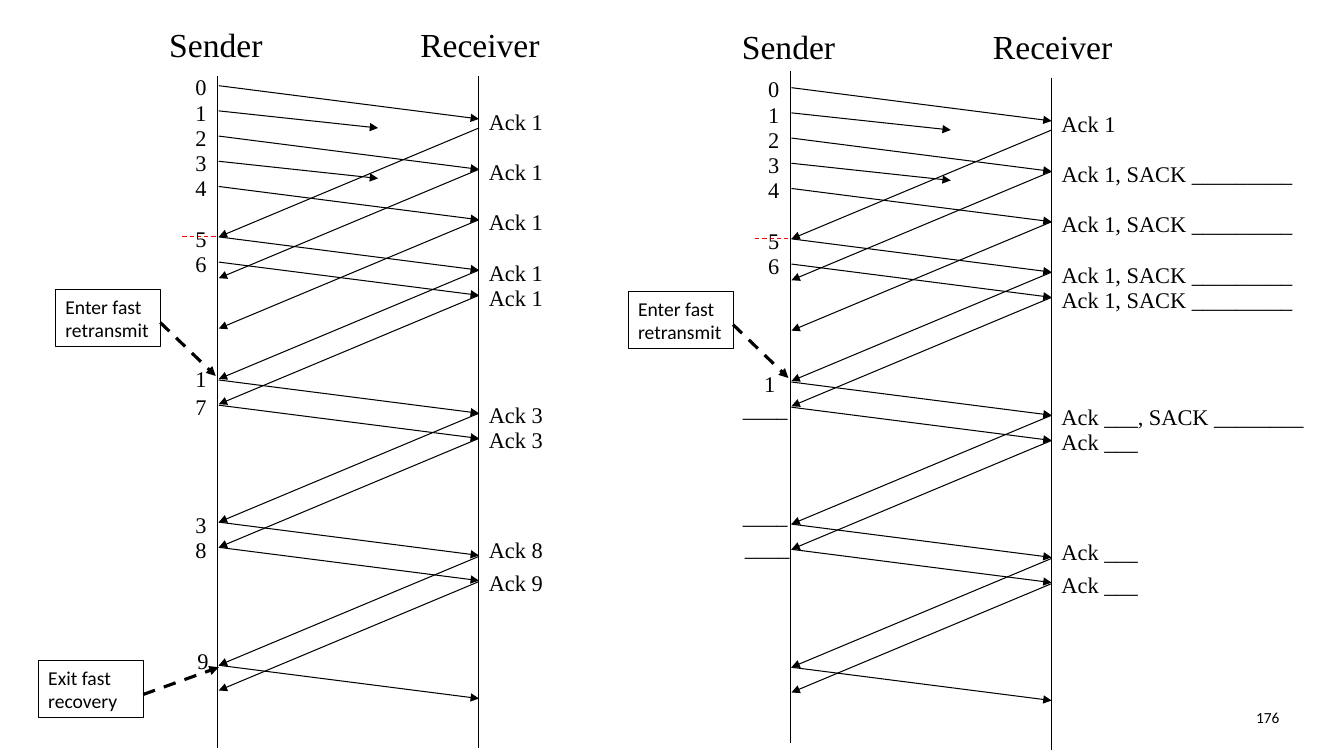
from dataclasses import dataclass

from lxml import etree
from pptx import Presentation
from pptx.dml.color import RGBColor
from pptx.enum import dml, shapes, text
from pptx.oxml import ns
from pptx.util import Inches, Pt

SERIF, SANS = "Times New Roman", "Calibri"
BLACK, RED = "000000", "FF0000"

# Positions inside a panel, in inches
SENDER_X, RECEIVER_X, LOST_X = 2.17, 4.75, 3.75
DATA_DROP, LOST_DROP, ACK_DROP = 0.33, 0.17, 1.08
DATA_TIMES = [0.85, 1.35, 1.85, 2.35, 2.6, 3.77, 4.02, 5.18, 5.43, 6.6]
LOST_TIMES = [1.1, 1.6]
ACK_TIMES = [1.27, 1.68, 2.18, 2.68, 2.93, 4.1, 4.35, 5.52, 5.77]
ACK_LABEL_TOPS = [1.02, 1.52, 2.02, 2.52, 2.77, 3.93, 4.18, 5.27, 5.6]
FIRST_PACKET_TOPS = [0.68, 0.93, 1.18, 1.43, 1.68, 2.18, 2.43]


@dataclass
class Label:
    text: str
    left: float
    top: float
    width: float = 0.31


@dataclass
class Callout:
    text: str
    left: float
    top: float
    arrow: tuple[float, float, float, float]
    wrap: bool = False


@dataclass
class Panel:
    dx: float
    dy: float
    timeline_top: float
    later_packets: list[Label]
    acks: list[str]
    ack_widths: list[float]
    callouts: list[Callout]


def rgb(value: str) -> RGBColor:
    return RGBColor.from_string(value)


def fill_text(tf, content: str, size: float, font: str, wrap: bool) -> None:
    tf.text = content
    tf.word_wrap = wrap
    tf.auto_size = text.MSO_AUTO_SIZE.SHAPE_TO_FIT_TEXT
    for p in tf.paragraphs:
        p.alignment = text.PP_ALIGN.LEFT
        p.font.size, p.font.name = Pt(size), font
        p.font.color.rgb = rgb(BLACK)


def add_label(s, label: Label, dx: float = 0, dy: float = 0, size: float = 16,
              font: str = SERIF, height: float = 0.37) -> None:
    sp = s.shapes.add_textbox(Inches(label.left + dx), Inches(label.top + dy),
                              Inches(label.width), Inches(height))
    fill_text(sp.text_frame, label.text, size, font, False)


def add_line(s, x1: float, y1: float, x2: float, y2: float, color: str = BLACK,
             width: float = 0.75, dashed: bool = False, arrow: bool = True) -> None:
    line = s.shapes.add_connector(shapes.MSO_CONNECTOR.STRAIGHT, Inches(x1),
                                  Inches(y1), Inches(x2), Inches(y2))
    line.line.color.rgb = rgb(color)
    line.line.width = Pt(width)
    if dashed:
        line.line.dash_style = dml.MSO_LINE.DASH
    if arrow:
        etree.SubElement(line.line._get_or_add_ln(), ns.qn("a:tailEnd"), type="triangle")
    etree.SubElement(line._element.spPr, ns.qn("a:effectLst"))


def add_callout(s, callout: Callout, dx: float, dy: float) -> None:
    sp = s.shapes.add_shape(shapes.MSO_SHAPE.RECTANGLE, Inches(callout.left + dx),
                            Inches(callout.top + dy), Inches(1.04), Inches(0.57))
    sp.shadow.inherit = False
    sp.fill.background()
    sp.line.color.rgb = rgb(BLACK)
    sp.line.width = Pt(0.5)
    fill_text(sp.text_frame, callout.text, 14, SANS, callout.wrap)
    x1, y1, x2, y2 = callout.arrow
    add_line(s, x1 + dx, y1 + dy, x2 + dx, y2 + dy, width=2.25, dashed=True)


def add_panel(s, panel: Panel) -> None:
    dx, dy = panel.dx, panel.dy
    sender, receiver = SENDER_X + dx, RECEIVER_X + dx

    # Headings and timelines
    for heading in (Label("Sender", 1.58, 0.19, 1.15), Label("Receiver", 4.07, 0.19, 1.42)):
        add_label(s, heading, dx, dy, size=24, height=0.5)
    for x, top in ((sender - 0.01, panel.timeline_top), (receiver, 0.75 + dy)):
        add_line(s, x, top, x, top + 6.67, arrow=False)

    # Packets and acknowledgements in flight
    for y in DATA_TIMES:
        add_line(s, sender, y + dy, receiver, y + DATA_DROP + dy)
    for y in LOST_TIMES:
        add_line(s, sender, y + dy, LOST_X + dx, y + LOST_DROP + dy)
    for y in ACK_TIMES:
        add_line(s, receiver, y + dy, sender, y + ACK_DROP + dy)
    add_line(s, 1.81 + dx, 2.35 + dy, 2.14 + dx, 2.35 + dy, RED, dashed=True, arrow=False)

    # Packet numbers, acknowledgement labels and callouts
    for number, top in enumerate(FIRST_PACKET_TOPS):
        add_label(s, Label(str(number), 1.84, top), dx, dy)
    for label in panel.later_packets:
        add_label(s, label, dx, dy)
    for ack, top, width in zip(panel.acks, ACK_LABEL_TOPS, panel.ack_widths):
        add_label(s, Label(ack, RECEIVER_X, top, width), dx, dy)
    for callout in panel.callouts:
        add_callout(s, callout, dx, dy)


ENTER = Callout("Enter fast\nretransmit", 0.55, 2.87, (1.59, 3.2, 2.14, 3.73))
EXIT = Callout("Exit fast\nrecovery", 0.38, 6.55, (1.42, 6.89, 2.17, 6.62), wrap=True)

PANELS = [
    Panel(0, 0, 0.75,
          [Label("1", 1.84, 3.57), Label("7", 1.84, 3.85), Label("3", 1.84, 5.02),
           Label("8", 1.84, 5.27), Label("9", 1.86, 6.37)],
          ["Ack 1"] * 5 + ["Ack 3"] * 2 + ["Ack 8", "Ack 9"],
          [0.74] * 9, [ENTER, EXIT]),
    Panel(5.68, 0.02, 0.7,
          [Label("1", 1.8, 3.6), Label("____", 1.59, 3.85, 0.65),
           Label("____", 1.59, 4.91, 0.65), Label("____", 1.61, 5.23, 0.65)],
          ["Ack 1"] + ["Ack 1, SACK _________"] * 4
          + ["Ack ___, SACK ________"] + ["Ack ___"] * 3,
          [0.74] + [2.52] * 4 + [2.63] + [0.97] * 3, [ENTER]),
]


def main() -> None:
    prs = Presentation()
    prs.slide_width, prs.slide_height = Inches(13.33), Inches(7.5)
    s = prs.slides.add_slide(prs.slide_layouts[6])
    for panel in PANELS:
        add_panel(s, panel)

    # Slide number
    add_label(s, Label("176", 12.36, 6.98, 0.48), size=11, font=SANS, height=0.3)
    prs.save("out.pptx")


if __name__ == "__main__":
    main()
